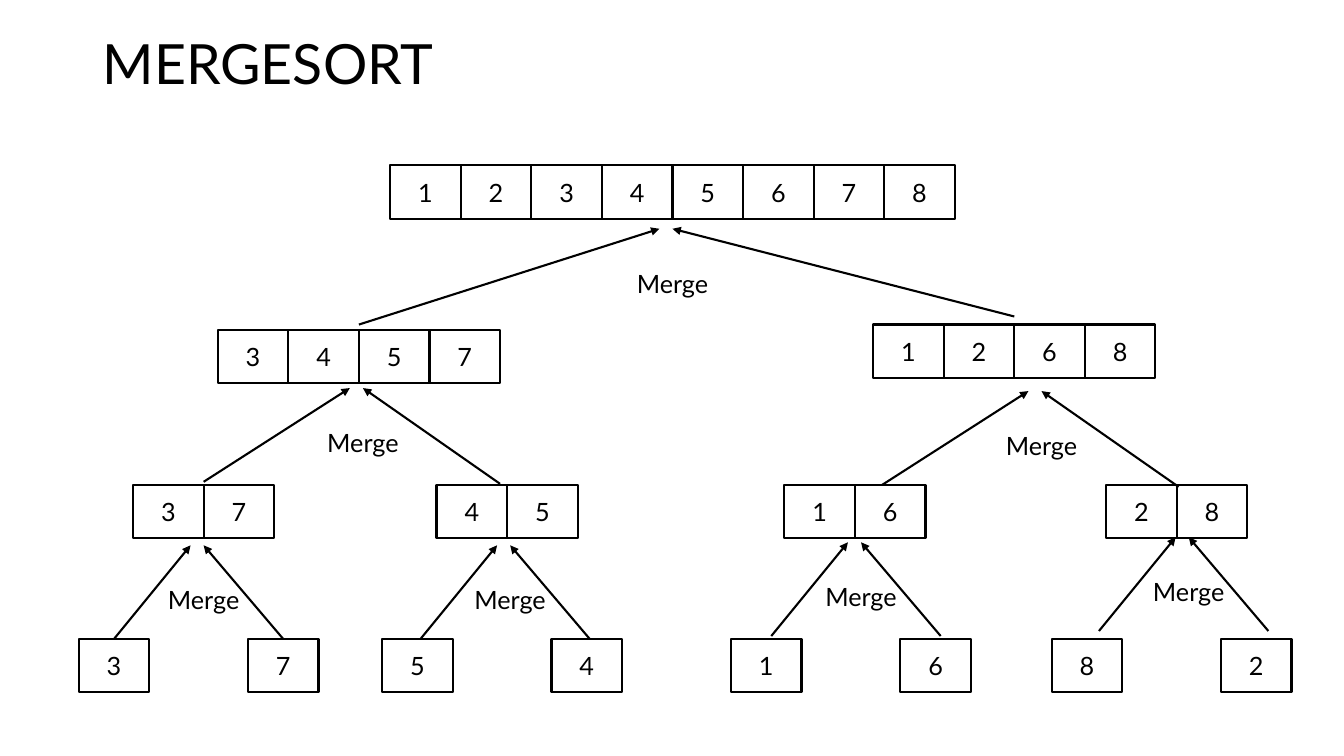
import pptx
import pptx.dml.color
import pptx.enum.shapes
import pptx.enum.text
import pptx.oxml
import pptx.oxml.ns
import pptx.util

Inches = pptx.util.Inches
Pt = pptx.util.Pt

CELL_WIDTH, CELL_HEIGHT = 0.7, 0.53
LABEL_WIDTH, LABEL_HEIGHT = 2.66, 0.41
TIP_GAP = 0.13
LABEL_DROP = 0.34
LEAF_TOP, LEAF_STEP = 6.34, 1.68

# Left edge, top edge, sorted numbers
ARRAYS = [
    (3.87, 1.64, "12345678"),
    (2.16, 3.27, "3457"),
    (8.66, 3.22, "1268"),
    (1.32, 4.81, "37"),
    (4.33, 4.81, "45"),
    (7.78, 4.81, "16"),
    (10.97, 4.81, "28"),
]
# Left edge of the first leaf, numbers of the pair
LEAF_PAIRS = [(0.78, "37"), (3.79, "54"), (7.25, "16"), (10.43, "82")]

# Arrow starts (left, right) measured from the right-hand arrow tip
LEAF_STARTS = ((-0.89, 0.93), (0.79, 0.93))
MIDDLE_STARTS = ((-1.58, 0.93), (1.36, 0.95))
TOP_STARTS = ((-3.11, 0.95), (3.39, 0.87))

# Right-hand arrow tip, arrow starts
MERGES = [
    (2.02, 5.41, LEAF_STARTS),
    (5.06, 5.41, LEAF_STARTS),
    (8.54, 5.38, LEAF_STARTS),
    (11.79, 5.33, LEAF_STARTS),
    (3.6, 3.85, MIDDLE_STARTS),
    (10.33, 3.88, MIDDLE_STARTS),
    (6.67, 2.27, TOP_STARTS),
]


def color(hex_string):
    return pptx.dml.color.RGBColor.from_string(hex_string)


class MergeSortSlide:
    """Holds the style and the slide being drawn."""

    font_name = "Lato"
    ink = "000000"
    paper = "FFFFFF"
    text_size = 18
    title_size = 39.6
    line_width = 1.5

    def __init__(self, slide):
        self.slide = slide

    def add_text(self, shape, text, size, centered=True):
        paragraph = shape.text_frame.paragraphs[0]
        alignment = pptx.enum.text.PP_ALIGN
        paragraph.alignment = alignment.CENTER if centered else alignment.LEFT
        run = paragraph.add_run()
        run.text = text
        run.font.name = self.font_name
        run.font.size = Pt(size)
        run.font.color.rgb = color(self.ink)
        return paragraph

    def text_box(self, left, top, width, height):
        box = self.slide.shapes.add_textbox(
            Inches(left), Inches(top), Inches(width), Inches(height))
        box.text_frame.word_wrap = True
        return box

    def title(self, text):
        box = self.text_box(0.92, 0.4, 11.5, 0.53)
        box.text_frame.vertical_anchor = pptx.enum.text.MSO_ANCHOR.MIDDLE
        paragraph = self.add_text(box, text, self.title_size, centered=False)
        paragraph.line_spacing = 0.9

    def label(self, center, top, text):
        box = self.text_box(center - LABEL_WIDTH / 2, top, LABEL_WIDTH, LABEL_HEIGHT)
        box.text_frame.auto_size = pptx.enum.text.MSO_AUTO_SIZE.SHAPE_TO_FIT_TEXT
        self.add_text(box, text, self.text_size)

    def outline(self, shape):
        shape.line.color.rgb = color(self.ink)
        shape.line.width = Pt(self.line_width)

    def cells(self, left, top, numbers, step=CELL_WIDTH):
        """Draw a row of boxes, one number in each."""
        for index, number in enumerate(numbers):
            cell = self.slide.shapes.add_shape(
                pptx.enum.shapes.MSO_SHAPE.RECTANGLE,
                Inches(left + index * step), Inches(top),
                Inches(CELL_WIDTH), Inches(CELL_HEIGHT))
            cell.shadow.inherit = False
            cell.fill.solid()
            cell.fill.fore_color.rgb = color(self.paper)
            self.outline(cell)
            cell.text_frame.vertical_anchor = pptx.enum.text.MSO_ANCHOR.MIDDLE
            self.add_text(cell, number, self.text_size)

    def arrow(self, start_x, start_y, tip_x, tip_y):
        connector = self.slide.shapes.add_connector(
            pptx.enum.shapes.MSO_CONNECTOR.STRAIGHT,
            Inches(start_x), Inches(start_y), Inches(tip_x), Inches(tip_y))
        self.outline(connector)
        properties = connector.element.spPr
        line = properties.find(pptx.oxml.ns.qn("a:ln"))
        namespace = pptx.oxml.ns.nsdecls("a")
        line.append(pptx.oxml.parse_xml(f'<a:tailEnd {namespace} type="triangle"/>'))
        properties.append(pptx.oxml.parse_xml(f"<a:effectLst {namespace}/>"))

    def merge(self, tip_x, tip_y, starts):
        """Draw two arrows that meet, with the label under their tips."""
        for (offset_x, offset_y), gap in zip(starts, (TIP_GAP, 0)):
            self.arrow(tip_x + offset_x, tip_y + offset_y, tip_x - gap, tip_y)
        self.label(tip_x, tip_y + LABEL_DROP, "Merge")


def main():
    presentation = pptx.Presentation()
    presentation.slide_width = Inches(13.33)
    presentation.slide_height = Inches(7.5)
    blank_layout = presentation.slide_layouts[6]
    diagram = MergeSortSlide(presentation.slides.add_slide(blank_layout))

    diagram.title("MERGESORT")
    for left, top, numbers in ARRAYS:
        diagram.cells(left, top, numbers)
    for left, numbers in LEAF_PAIRS:
        diagram.cells(left, LEAF_TOP, numbers, LEAF_STEP)
    for tip_x, tip_y, starts in MERGES:
        diagram.merge(tip_x, tip_y, starts)

    presentation.save("out.pptx")


if __name__ == "__main__":
    main()
